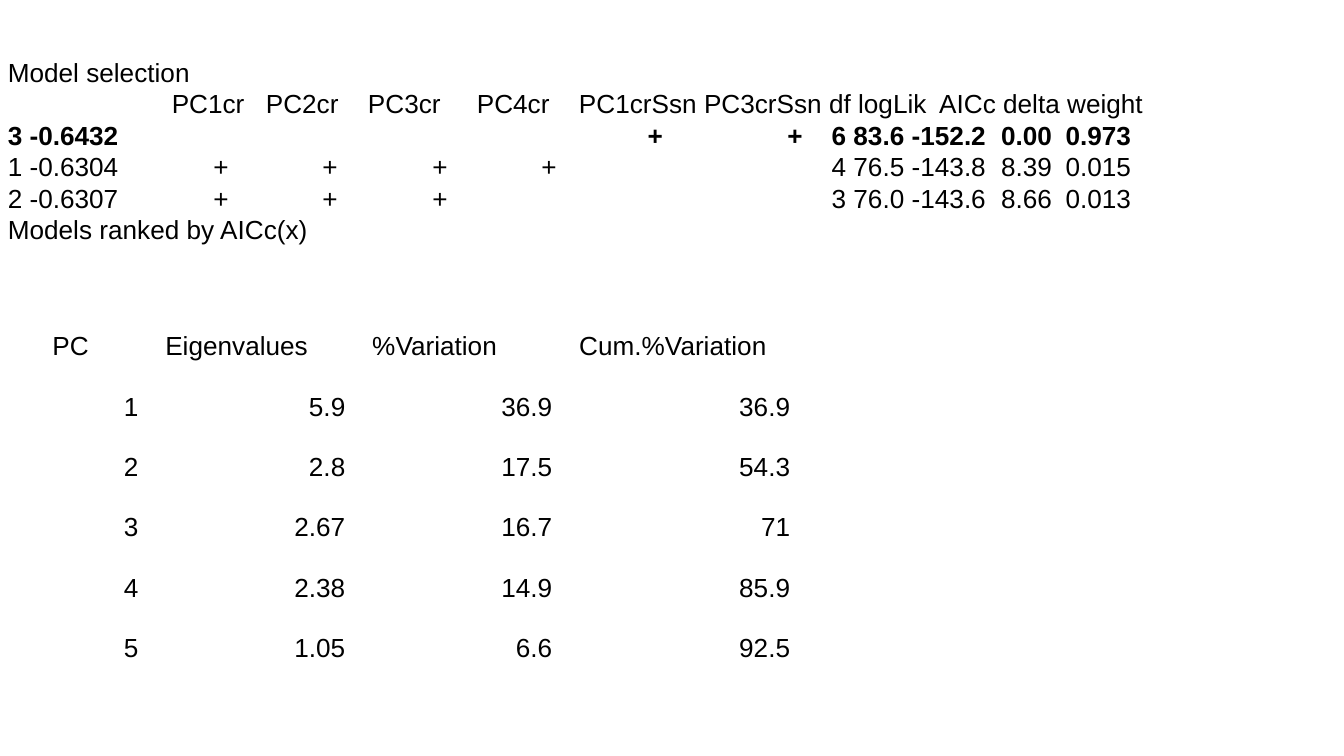
from pptx import Presentation
from pptx import util as u
from pptx.dml.color import RGBColor
from pptx.enum import text
from pptx.oxml import ns
from lxml import etree

PX = 9144  # 100 px to the inch
BLACK = RGBColor(0, 0, 0)
HEADER_STOPS = (122, 192, 268, 349, 425, 693)
# Six predictors, then df with logLik and AICc, delta, weight
MODEL_STOPS = (153, 234, 316, 397, 476, 580, 613, 739, 787)

MODEL_LINES = [
    (("Model selection",), (), False),
    (("", "PC1cr", "PC2cr", "PC3cr", "PC4cr", "PC1crSsn PC3crSsn df logLik",
      "AICc delta weight"), HEADER_STOPS, False),
    (("3 -0.6432", "", "", "", "", "+", "+", "6 83.6 -152.2", "0.00", "0.973"),
     MODEL_STOPS, True),
    (("1 -0.6304", "+", "+", "+", "+", "", "", "4 76.5 -143.8", "8.39", "0.015"),
     MODEL_STOPS, False),
    (("2 -0.6307", "+", "+", "+", "", "", "", "3 76.0 -143.6", "8.66", "0.013"),
     MODEL_STOPS, False),
    (("Models ranked by AICc(x)",), (), False),
]

EIGENVALUE_ROWS = [
    ("PC", "Eigenvalues", "%Variation", "Cum.%Variation"),
    ("1", "5.9", "36.9", "36.9"),
    ("2", "2.8", "17.5", "54.3"),
    ("3", "2.67", "16.7", "71"),
    ("4", "2.38", "14.9", "85.9"),
    ("5", "1.05", "6.6", "92.5"),
]
COLUMN_WIDTHS = (84, 154, 154, 177)
HEADER_HEIGHT, ROW_HEIGHT = 42, 45


def px(length):
    return u.Emu(length * PX)


def set_margins(target):
    for side in ("left", "top", "right", "bottom"):
        setattr(target, "margin_" + side, px(10))


def write(paragraph, words, bold=False, align=text.PP_ALIGN.LEFT, spacing=1.0, stops=()):
    properties = paragraph._p.get_or_add_pPr()
    if stops:
        tabs = etree.SubElement(properties, ns.qn("a:tabLst"))
        for stop in stops:
            etree.SubElement(tabs, ns.qn("a:tab"), pos=str(px(stop)), algn="l")
    paragraph.alignment = align
    paragraph.line_spacing = spacing
    run = paragraph.add_run()
    run.text = words
    run.font.name = "Arial"
    run.font.size = u.Pt(14)
    run.font.bold = bold
    run.font.color.rgb = BLACK


def add_model_selection(slide, left, top, width, height):
    shape = slide.shapes.add_textbox(px(left), px(top), px(width), px(height))
    frame = shape.text_frame
    frame.word_wrap = True
    set_margins(frame)
    for index, (fields, stops, bold) in enumerate(MODEL_LINES):
        paragraph = frame.add_paragraph() if index else frame.paragraphs[0]
        write(paragraph, "\t".join(fields), bold=bold, stops=stops)


def add_eigenvalue_table(slide, left, top):
    height = HEADER_HEIGHT + ROW_HEIGHT * (len(EIGENVALUE_ROWS) - 1)
    table = slide.shapes.add_table(
        len(EIGENVALUE_ROWS), len(COLUMN_WIDTHS),
        px(left), px(top), px(sum(COLUMN_WIDTHS)), px(height)).table
    table.first_row = table.horz_banding = False
    for column, width in zip(table.columns, COLUMN_WIDTHS):
        column.width = px(width)
    for index, (row, values) in enumerate(zip(table.rows, EIGENVALUE_ROWS)):
        row.height = px(ROW_HEIGHT if index else HEADER_HEIGHT)
        for cell, value in zip(row.cells, values):
            cell.fill.background()
            set_margins(cell)
            write(cell.text_frame.paragraphs[0], value,
                  align=text.PP_ALIGN.RIGHT if index else text.PP_ALIGN.LEFT,
                  spacing=1.07 if index else 1.0)


def main():
    presentation = Presentation()
    presentation.slide_width = u.Inches(10)
    presentation.slide_height = u.Inches(5.625)  # 16:9
    slide = presentation.slides.add_slide(presentation.slide_layouts[6])
    add_model_selection(slide, -4, 32, 1094, 328)
    add_eigenvalue_table(slide, 29, 237)
    presentation.save("out.pptx")


if __name__ == "__main__":
    main()
